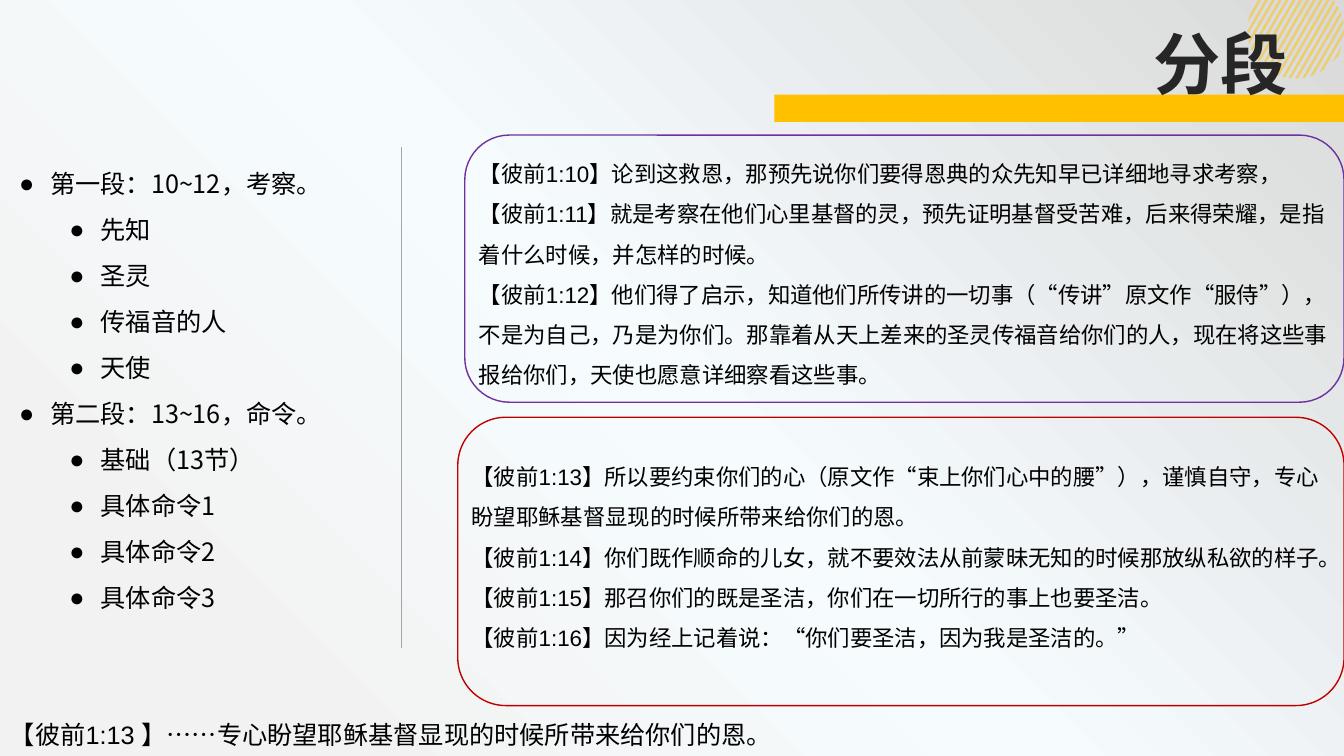
import math
from lxml import etree
from pptx import Presentation
from pptx.util import Inches, Pt
from pptx.dml.color import RGBColor
from pptx.enum.shapes import MSO_CONNECTOR, MSO_SHAPE
from pptx.enum.text import MSO_ANCHOR
from pptx.oxml import parse_xml
from pptx.oxml.ns import qn

RECT = MSO_SHAPE.RECTANGLE
ROUND = MSO_SHAPE.ROUNDED_RECTANGLE
MIDDLE = MSO_ANCHOR.MIDDLE
NS = "http://schemas.openxmlformats.org/drawingml/2006/main"
CJK = "Noto Sans CJK SC"
COLORS = {"gold": "FFC000", "title": "262626", "text": "000000",
          "purple": "7030A0", "red": "C00000", "divider": "A6A6A6"}


def rgb(name):
    return RGBColor.from_string(COLORS[name])


def add_text(box, lines, size, font="Arial", color="text", bold=False, spacing=None,
             inset=(0.1, 0.05), levels=None):
    x, y, w, h = box
    tf = s.shapes.add_textbox(Inches(x), Inches(y), Inches(w), Inches(h)).text_frame
    tf.word_wrap = True
    tf.margin_left = tf.margin_right = Inches(inset[0])
    tf.margin_top = tf.margin_bottom = Inches(inset[1])
    for i, line in enumerate(lines):
        p = tf.paragraphs[0] if i == 0 else tf.add_paragraph()
        p.text = line
        if spacing:
            p.line_spacing = spacing
        if levels:
            p.level = levels[i]
            p.space_after = Pt(8)
            pPr = p._p.get_or_add_pPr()
            pPr.set("marL", str(Inches(0.31 + 0.5 * levels[i])))
            pPr.set("indent", str(Inches(-0.31)))
            etree.SubElement(pPr, qn("a:buFont")).set("typeface", "Arial")
            etree.SubElement(pPr, qn("a:buChar")).set("char", "●")
        r = p.runs[0]
        r.font.size = Pt(size)
        r.font.name = font
        r.font.bold = bold
        r.font.color.rgb = rgb(color)
        etree.SubElement(r._r.get_or_add_rPr(), qn("a:ea")).set("typeface", CJK)
    return tf


prs = Presentation()
prs.slide_width, prs.slide_height = Inches(13.33), Inches(7.5)
s = prs.slides.add_slide(prs.slide_layouts[6])

s.background.fill.gradient()
bgPr = s.background._cSld.bg.bgPr
stops = "".join(f'<a:gs pos="{pos}000"><a:srgbClr val="{c}"/></a:gs>'
                for pos, c in ((15, "F2F2F2"), (50, "F6FCFE"), (100, "D9D9D9")))
bgPr.replace(bgPr[0], parse_xml(
    f'<a:gradFill xmlns:a="{NS}"><a:gsLst>{stops}</a:gsLst><a:path path="circle">'
    '<a:fillToRect t="100000" r="100000"/></a:path></a:gradFill>'))

CX, CY, RADIUS = 12.85, 0.3, 0.48
DX, DY = -math.cos(math.radians(60)), math.sin(math.radians(60))
for i in range(17):
    corners = []
    for x0 in (12.48 + 0.068 * i, 12.507 + 0.068 * i):
        middle = (CX - x0) * DX + CY * DY
        gap = (CX - x0) * DY - CY * DX
        half = math.sqrt(max(0, RADIUS ** 2 - gap ** 2))
        ends = [(Inches(x0 + t * DX), Inches(t * DY))
                for t in (max(0, middle - half), middle + half)]
        corners += ends if not corners else ends[::-1]
    fb = s.shapes.build_freeform(*corners[0])
    fb.add_line_segments(corners[1:], close=True)
    sp = fb.convert_to_shape()
    sp.shadow.inherit = False
    sp.fill.solid()
    sp.fill.fore_color.rgb = rgb("gold")
    sp.line.fill.background()
    clr = sp._element.spPr.find(qn("a:solidFill"))[0]
    etree.SubElement(clr, qn("a:alpha")).set("val", "50000")

bar = s.shapes.add_shape(RECT, Inches(7.68), Inches(0.94), Inches(5.65), Inches(0.27))
bar.shadow.inherit = False
bar.fill.solid()
bar.fill.fore_color.rgb = rgb("gold")
bar.line.fill.background()

add_text((11.34, 0.17, 2.06, 0.91), ["分段"], 48, color="title", bold=True)

outline = [
    ("第一段：10~12，考察。", ["先知", "圣灵", "传福音的人", "天使"]),
    ("第二段：13~16，命令。", ["基础（13节）", "具体命令1", "具体命令2", "具体命令3"]),
]
lines, levels = [], []
for heading, points in outline:
    lines += [heading, *points]
    levels += [0] + [1] * len(points)
add_text((0.09, 1.58, 4.45, 4.57), lines, 18, font=CJK, spacing=1.15, levels=levels)

divider = s.shapes.add_connector(MSO_CONNECTOR.STRAIGHT, Inches(3.98), Inches(1.46),
                                 Inches(3.98), Inches(6.43))
divider.line.color.rgb = rgb("divider")
divider.line.width = Pt(0.5)
etree.SubElement(divider._element.spPr, qn("a:effectLst"))

passages = [
    ("purple", (4.61, 1.34, 8.72, 2.65), (4.68, 1.46, 8.72, 2.39), 0.07, [
        "【彼前1:10】论到这救恩，那预先说你们要得恩典的众先知早已详细地寻求考察，",
        "【彼前1:11】就是考察在他们心里基督的灵，预先证明基督受苦难，后来得荣耀，是指着什么时候，并怎样的时候。",
        "【彼前1:12】他们得了启示，知道他们所传讲的一切事（“传讲”原文作“服侍”），不是为自己，乃是为你们。"
        "那靠着从天上差来的圣灵传福音给你们的人，现在将这些事报给你们，天使也愿意详细察看这些事。"]),
    ("red", (4.54, 4.14, 8.79, 2.86), (4.58, 4.4, 8.7, 2.12), 0.1, [
        "【彼前1:13】所以要约束你们的心（原文作“束上你们心中的腰”），谨慎自守，专心盼望耶稣基督显现的时候所带来给你们的恩。",
        "【彼前1:14】你们既作顺命的儿女，就不要效法从前蒙昧无知的时候那放纵私欲的样子。",
        "【彼前1:15】那召你们的既是圣洁，你们在一切所行的事上也要圣洁。",
        "【彼前1:16】因为经上记着说：“你们要圣洁，因为我是圣洁的。”"]),
]
for color, frame, box, inset, verses in passages:
    sp = s.shapes.add_shape(ROUND, *(Inches(v) for v in frame))
    sp.shadow.inherit = False
    sp.fill.background()
    sp.line.color.rgb = rgb(color)
    sp.line.width = Pt(1)
    tf = add_text(box, verses, 16, spacing=1.5, inset=(inset, inset))
    tf.vertical_anchor = MIDDLE

add_text((0, 7.09, 13.24, 0.4),
         ["【彼前1:13 】……专心盼望耶稣基督显现的时候所带来给你们的恩。"], 18)

prs.save("out.pptx")
